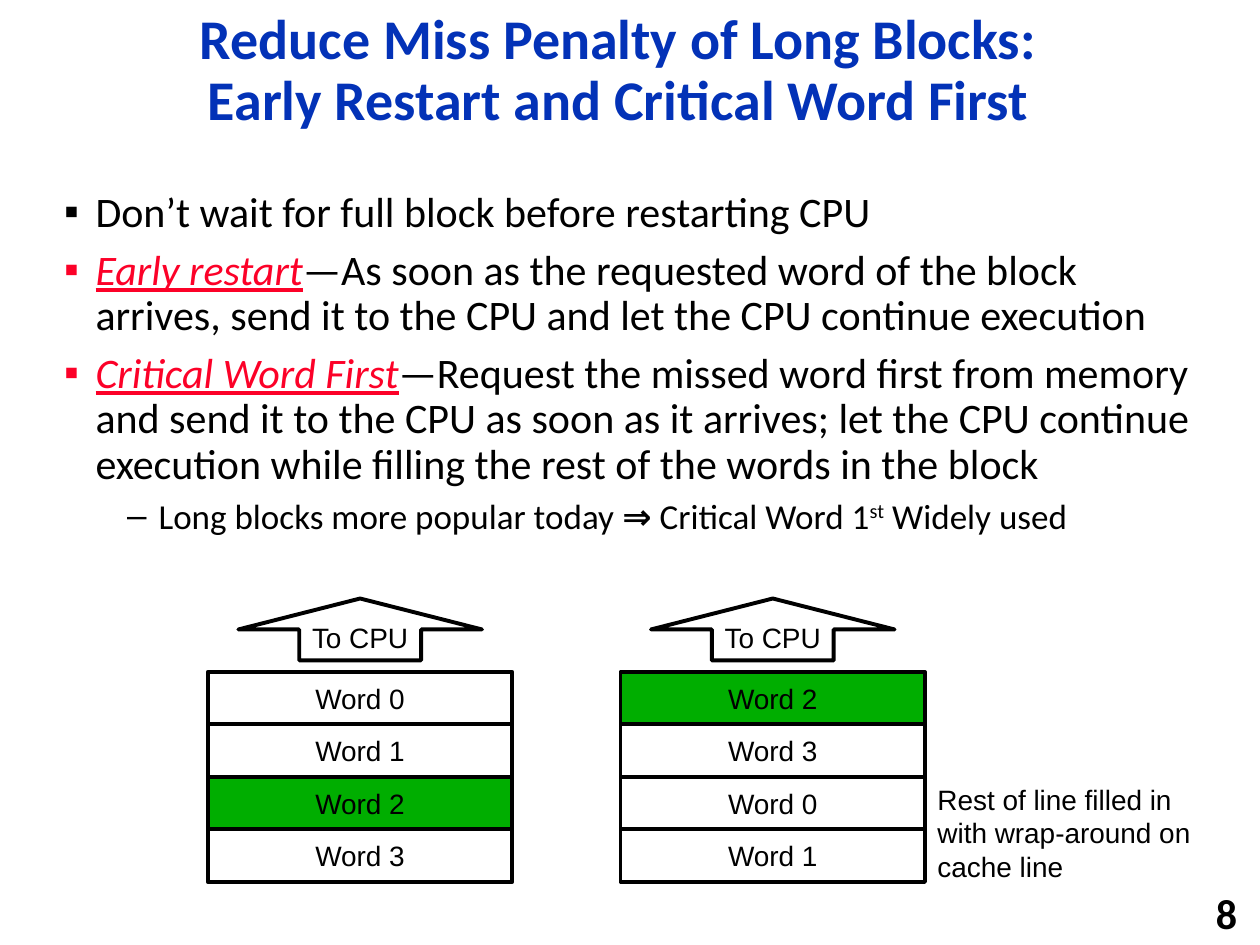
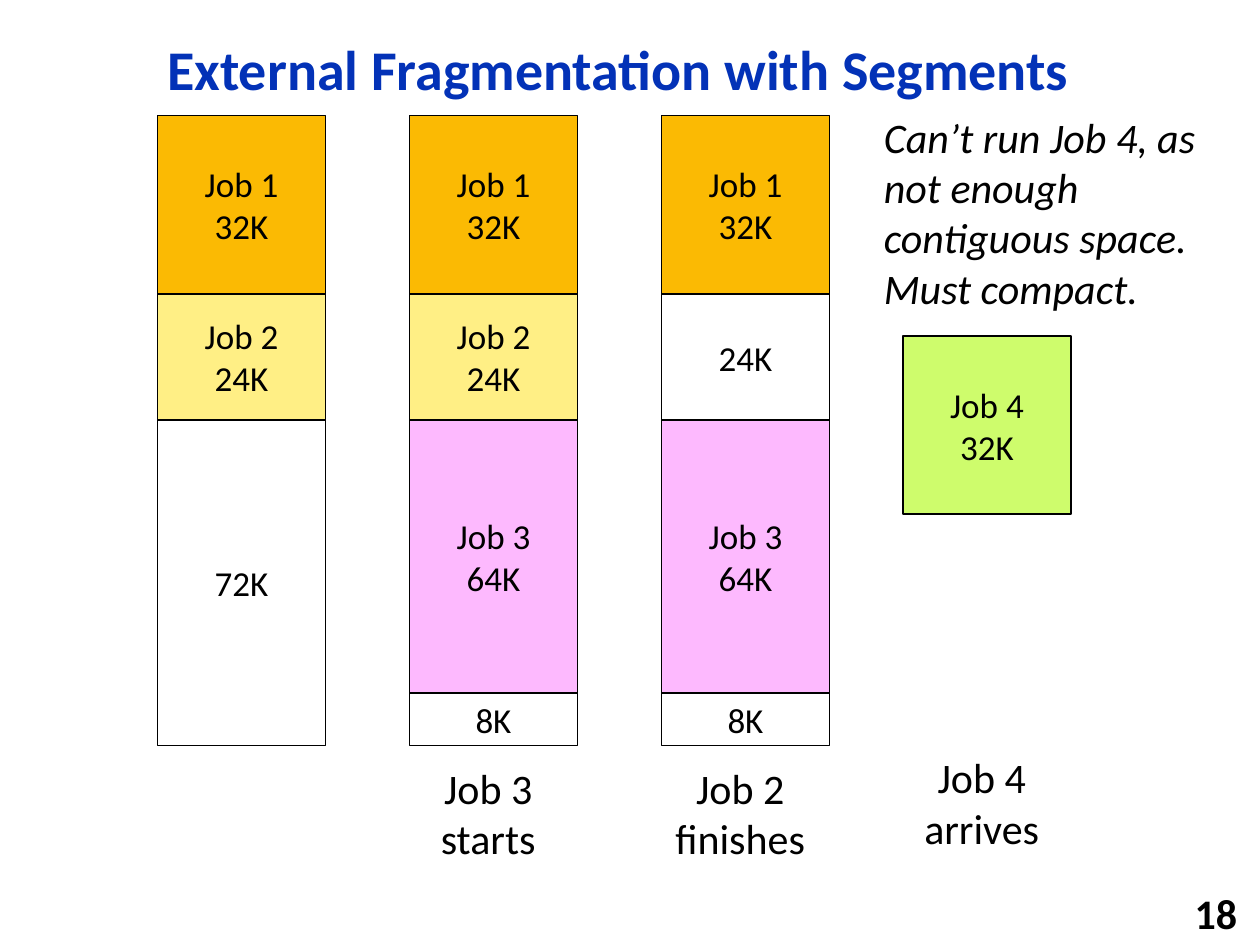
import pptx
import pptx.dml.color
import pptx.enum.shapes
import pptx.enum.text
import pptx.util
from lxml import etree
from pptx.oxml.ns import qn

ALIGN = pptx.enum.text.PP_ALIGN
ANCHOR = pptx.enum.text.MSO_ANCHOR
SHAPE = pptx.enum.shapes.MSO_SHAPE

# Shared look
BLUE, RED, BLACK, WHITE = "0332B7", "FC0128", "000000", "FFFFFF"
GREEN, ORANGE, YELLOW, PINK, LIME = "00AE00", "FBBA03", "FFEF85", "FDB9FE", "CEFC6C"
TITLE_FONT = {"name": "Calibri", "size": 32, "bold": True, "color": BLUE}
NUMBER_FONT = {"name": "Calibri", "size": 24, "bold": True, "color": BLACK}
TEXT_FONT = {"name": "Calibri", "size": 24, "color": BLACK}
JOB_FONT = {"name": "Calibri", "size": 20, "color": BLACK}
WORD_FONT = {"name": "Arial", "size": 16, "color": BLACK}
TERM = {"color": RED, "italic": True, "underline": True}
GRID = 12  # grid steps to the inch

# Slide 8: points as (level, runs), each run a text and its own format
RESTART_TITLE = "Reduce Miss Penalty of Long Blocks:\vEarly Restart and Critical Word First"
POINTS = [
    (0, [("Don’t wait for full block before restarting CPU", {})]),
    (0, [("Early restart", TERM),
         ("—As soon as the requested word of the block arrives, send it to the CPU "
          "and let the CPU continue execution", {})]),
    (0, [("Critical Word First", TERM),
         ("—Request the missed word first from memory and send it to the CPU as soon "
          "as it arrives; let the CPU continue execution while filling the rest of "
          "the words in the block", {})]),
    (1, [("Long blocks more popular today ", {}), ("⇒", {"bold": True}),
         (" Critical Word 1", {}), ("st", {"baseline": 30}), (" Widely used", {})]),
]
LEVELS = [  # bullet, left margin in inches, text size
    ("▪", 0.25, 24),
    ("–", 0.75, 20),
]
WORD_ORDERS = [(0, 1, 2, 3), (2, 3, 0, 1)]
REQUESTED_WORD = 2
WRAP_NOTE = "Rest of line filled in with wrap-around on cache line"

# Slide 18: memory columns, each block as (job, size), then the caption
SEGMENTS_TITLE = "External Fragmentation with Segments"
MEMORY = [
    ([("Job 1", "32K"), ("Job 2", "24K"), ("", "72K")], ""),
    ([("Job 1", "32K"), ("Job 2", "24K"), ("Job 3", "64K"), ("", "8K")], "Job 3 starts"),
    ([("Job 1", "32K"), ("", "24K"), ("Job 3", "64K"), ("", "8K")], "Job 2 finishes"),
]
BLOCK_ROWS = {"8K": 5, "24K": 12, "32K": 17, "64K": 26, "72K": 31}
JOB_FILLS = {"": WHITE, "Job 1": ORANGE, "Job 2": YELLOW, "Job 3": PINK, "Job 4": LIME}
COMPACT_NOTE = "Can’t run Job 4, as not enough contiguous space. Must compact."


def rgb(hex_color):
    return pptx.dml.color.RGBColor.from_string(hex_color)


def grid(*steps):
    return [pptx.util.Inches(step / GRID) for step in steps]


def format_run(run, style):
    for key, value in style.items():
        if key == "color":
            run.font.color.rgb = rgb(value)
        elif key == "baseline":
            run._r.get_or_add_rPr().set("baseline", str(value * 1000))
        else:
            setattr(run.font, key, pptx.util.Pt(value) if key == "size" else value)


def fill_text(shape, text, style, align=ALIGN.LEFT, anchor=ANCHOR.TOP, inset=None, spacing=None):
    frame = shape.text_frame
    frame.text = text
    frame.word_wrap = True
    frame.auto_size = pptx.enum.text.MSO_AUTO_SIZE.NONE
    frame.vertical_anchor = anchor
    if inset is not None:
        for side in ("left", "top", "right", "bottom"):
            setattr(frame, "margin_" + side, pptx.util.Inches(inset))
    for paragraph in frame.paragraphs:
        paragraph.alignment = align
        if spacing:
            paragraph.line_spacing = spacing
        for run in paragraph.runs:
            format_run(run, style)


def place(shape, box):
    shape.left, shape.top, shape.width, shape.height = box


def add_label(slide, box, text, style, **layout):
    fill_text(slide.shapes.add_textbox(*box), text, style, **layout)


def add_box(slide, kind, box, text, style, fill, line_width, inset=None):
    shape = slide.shapes.add_shape(kind, *box)
    shape.shadow.inherit = False
    if fill:
        shape.fill.solid()
        shape.fill.fore_color.rgb = rgb(fill)
    else:
        shape.fill.background()
    shape.line.color.rgb = rgb(BLACK)
    shape.line.width = pptx.util.Pt(line_width)
    fill_text(shape, text, style, ALIGN.CENTER, ANCHOR.MIDDLE, inset)
    return shape


def add_slide(deck, layout, title, number):
    slide = deck.slides.add_slide(deck.slide_layouts[layout])
    place(slide.shapes.title, grid(11, 2, 95.8, 9.7))
    fill_text(slide.shapes.title, title, TITLE_FONT, ALIGN.CENTER, ANCHOR.MIDDLE, spacing=0.9)
    add_label(slide, grid(94, 85, 25, 3.8), number, NUMBER_FONT,
              align=ALIGN.RIGHT, anchor=ANCHOR.MIDDLE)
    return slide


def add_points(body):
    place(body, grid(4.9, 17.6, 110.3, 37.4))
    fill_text(body, "", TEXT_FONT)
    frame = body.text_frame
    for index, (level, runs) in enumerate(POINTS):
        bullet, margin, size = LEVELS[level]
        paragraph = frame.add_paragraph() if index else frame.paragraphs[0]
        paragraph.level = level
        paragraph.line_spacing = 0.9
        paragraph.space_before = pptx.util.Pt(0.3 * size if index else 0)
        props = paragraph._p.get_or_add_pPr()
        props.set("marL", str(pptx.util.Inches(margin)))
        props.set("indent", str(pptx.util.Inches(-0.25)))
        color = etree.SubElement(props, qn("a:buClr"))
        etree.SubElement(color, qn("a:srgbClr")).set("val", runs[0][1].get("color", BLACK))
        etree.SubElement(props, qn("a:buChar")).set("char", bullet)
        for text, extra in runs:
            run = paragraph.add_run()
            run.text = text
            format_run(run, {**TEXT_FONT, "size": size, **extra})


def build_restart(deck):
    slide = add_slide(deck, 1, RESTART_TITLE, "8")
    add_points(slide.placeholders[1])

    # Cache lines, each under its arrow
    left, step, width, top, row = 19.8, 39.3, 29, 64, 5
    for column, order in enumerate(WORD_ORDERS):
        x = left + column * step
        for index, word in enumerate(order):
            add_box(slide, SHAPE.RECTANGLE, grid(x, top + index * row, width, row),
                    f"Word {word}", WORD_FONT, GREEN if word == REQUESTED_WORD else None, 2.25)
        arrow = add_box(slide, SHAPE.UP_ARROW, grid(x + 0.1 * width, 57, 0.8 * width, 5.9),
                        "To CPU", WORD_FONT, None, 2.25)
        arrow.text_frame.word_wrap = False
    add_label(slide, grid(88.1, 73.9, 28, 10.9), WRAP_NOTE, WORD_FONT)


def add_job(slide, x, y, job, size):
    rows = BLOCK_ROWS[size]
    add_box(slide, SHAPE.RECTANGLE, grid(x, y, 16, rows), f"{job}\n{size}".strip(),
            JOB_FONT, JOB_FILLS[job], 1, inset=0)
    return y + rows


def add_caption(slide, x, y, text):
    add_label(slide, grid(x, y, 17, 10.9), text, TEXT_FONT, align=ALIGN.CENTER)


def build_segments(deck):
    slide = add_slide(deck, 5, SEGMENTS_TITLE, "18")

    # Memory over time
    for column, (blocks, caption) in enumerate(MEMORY):
        x, y = 15 + 24 * column, 11
        for job, size in blocks:
            y = add_job(slide, x, y, job, size)
        if caption:
            add_caption(slide, x - 1, 72, caption)

    # The job that does not fit
    add_job(slide, 86, 32, "Job 4", "32K")
    add_caption(slide, 85, 71, "Job 4 arrives")
    add_label(slide, grid(83, 10, 35, 20.6), COMPACT_NOTE, {**TEXT_FONT, "italic": True})


def main():
    deck = pptx.Presentation()
    deck.slide_width, deck.slide_height = grid(120, 90)
    build_restart(deck)
    build_segments(deck)
    deck.save("out.pptx")


if __name__ == "__main__":
    main()
